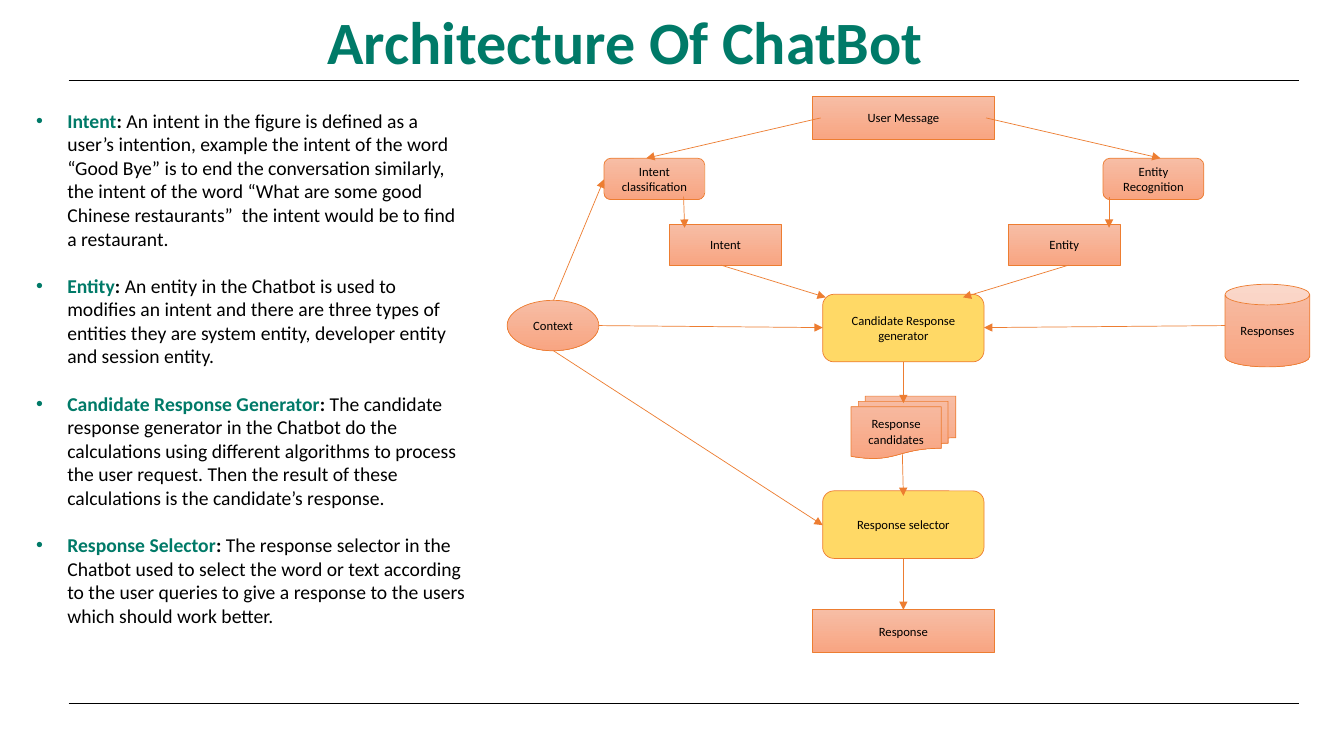
from dataclasses import dataclass

from lxml.etree import SubElement
from pptx import Presentation
from pptx.dml.color import RGBColor
from pptx.enum.shapes import MSO_CONNECTOR, MSO_SHAPE
from pptx.enum.text import MSO_ANCHOR, PP_ALIGN
from pptx.oxml.ns import qn
from pptx.util import Inches, Pt


@dataclass(frozen=True)
class Theme:
    """Colours, font and sizes used on the slide."""
    font: str = "Calibri"
    green: str = "007A68"
    black: str = "000000"
    orange: str = "ED7D31"
    yellow: str = "FFD966"
    peach: tuple = ("F7BDA5", "F8A582")
    title_size: float = 42.9
    body_size: float = 14
    label_size: float = 9
    paragraph_gap: float = 17
    line_width: float = 0.5


THEME = Theme()

DEFINITIONS = [
    ("Intent", "An\u00a0intent\u00a0in the figure is defined as a user’s intention, example the "
     "intent of the word “Good Bye” is to end the conversation similarly, the intent of the "
     "word “What are some good Chinese restaurants”\u00a0 the intent would be to find a restaurant."),
    ("Entity", "An\u00a0entity in the Chatbot is used to modifies an intent and there are three "
     "types of entities they are system entity, developer entity and session entity."),
    ("Candidate Response Generator", "The candidate response generator in the Chatbot do the "
     "calculations using different algorithms to process the user request. Then the result of "
     "these calculations is the candidate’s response."),
    ("Response Selector", "The response selector in the Chatbot used to select the word or text "
     "according to the user queries to give a response to the users which should work better."),
]

PEACH_NODES = [
    ("User Message", MSO_SHAPE.RECTANGLE, (8.06, 0.96, 1.8, 0.42)),
    ("Intent classification", MSO_SHAPE.ROUNDED_RECTANGLE, (5.99, 1.57, 1, 0.41)),
    ("Entity Recognition", MSO_SHAPE.ROUNDED_RECTANGLE, (10.94, 1.57, 1, 0.41)),
    ("Intent", MSO_SHAPE.RECTANGLE, (6.64, 2.23, 1.11, 0.4)),
    ("Entity", MSO_SHAPE.RECTANGLE, (10, 2.23, 1.11, 0.4)),
    ("Context", MSO_SHAPE.OVAL, (5.03, 2.98, 0.91, 0.5)),
    ("Responses", MSO_SHAPE.CAN, (12.15, 2.82, 0.84, 0.82)),
    ("Response candidates", MSO_SHAPE.FLOWCHART_MULTIDOCUMENT, (8.44, 3.93, 1.04, 0.62)),
    ("Response", MSO_SHAPE.RECTANGLE, (8.06, 6.05, 1.8, 0.42)),
]

YELLOW_NODES = [
    ("Candidate Response generator", MSO_SHAPE.ROUNDED_RECTANGLE, (8.16, 2.92, 1.6, 0.67)),
    ("Response selector", MSO_SHAPE.ROUNDED_RECTANGLE, (8.16, 4.87, 1.6, 0.67)),
]

ARROWS = [
    ((8.14, 1.17), (6.41, 1.57)),
    ((9.78, 1.17), (11.51, 1.57)),
    ((6.78, 1.95), (6.79, 2.26)),
    ((11, 1.95), (11, 2.26)),
    ((7.15, 2.63), (8.19, 2.95)),
    ((10.6, 2.63), (9.55, 2.95)),
    ((5.49, 2.98), (5.99, 1.78)),
    ((5.94, 3.23), (8.16, 3.25)),
    ((5.49, 3.48), (8.16, 5.21)),
    ((12.15, 3.23), (9.76, 3.25)),
    ((8.96, 3.59), (8.96, 4)),
    ((8.95, 4.5), (8.96, 4.92)),
    ((8.96, 5.54), (8.96, 6.05)),
]


def color(value):
    """Turn a hex string into a colour."""
    return RGBColor.from_string(value)


def add_text(paragraph, text, *, size, fill=THEME.black, bold=False):
    """Append a formatted run to a paragraph."""
    run = paragraph.add_run()
    run.text = text
    run.font.name = THEME.font
    run.font.size = Pt(size)
    run.font.bold = bold
    run.font.color.rgb = color(fill)


def add_text_frame(slide, box, anchor):
    """Add a wrapping text box and return its text frame."""
    frame = slide.shapes.add_textbox(*map(Inches, box)).text_frame
    frame.word_wrap = True
    frame.vertical_anchor = anchor
    return frame


def add_title(slide, text):
    """Add the centred slide title."""
    paragraph = add_text_frame(slide, (0.73, 0.12, 10.94, 0.68), MSO_ANCHOR.BOTTOM).paragraphs[0]
    paragraph.alignment = PP_ALIGN.CENTER
    paragraph.line_spacing = 0.8
    add_text(paragraph, text, size=THEME.title_size, fill=THEME.green, bold=True)


def set_bullet(paragraph):
    """Give a paragraph a hanging green bullet."""
    properties = paragraph._p.get_or_add_pPr()
    properties.set("marL", str(Inches(0.31)))
    properties.set("indent", str(-Inches(0.31)))
    bullet_color = SubElement(properties, qn("a:buClr"))
    SubElement(bullet_color, qn("a:srgbClr"), val=THEME.green)
    SubElement(properties, qn("a:buFont"), typeface="Arial")
    SubElement(properties, qn("a:buChar"), char="•")


def add_definitions(slide, definitions):
    """Add the bulleted list of terms and their meanings."""
    frame = add_text_frame(slide, (0.26, 1.03, 4.46, 5.55), MSO_ANCHOR.TOP)
    for index, (term, meaning) in enumerate(definitions):
        paragraph = frame.add_paragraph() if index else frame.paragraphs[0]
        paragraph.space_after = Pt(THEME.paragraph_gap)
        set_bullet(paragraph)
        add_text(paragraph, term, size=THEME.body_size, fill=THEME.green, bold=True)
        add_text(paragraph, ":", size=THEME.body_size, bold=True)
        add_text(paragraph, "\u00a0" + meaning, size=THEME.body_size)


def add_node(slide, label, kind, box):
    """Add a labelled, outlined diagram node and return it."""
    shape = slide.shapes.add_shape(kind, *map(Inches, box))
    shape.shadow.inherit = False
    shape.line.color.rgb = color(THEME.orange)
    shape.line.width = Pt(THEME.line_width)
    frame = shape.text_frame
    frame.word_wrap = True
    frame.vertical_anchor = MSO_ANCHOR.MIDDLE
    paragraph = frame.paragraphs[0]
    paragraph.alignment = PP_ALIGN.CENTER
    add_text(paragraph, label, size=THEME.label_size)
    return shape


def fill_gradient(shape, colors):
    """Fill a shape from top to bottom with two colours."""
    shape.fill.gradient()
    shape.fill.gradient_angle = 270
    for stop, value in zip(shape.fill.gradient_stops, colors):
        stop.color.rgb = color(value)


def fill_solid(shape, value):
    """Fill a shape with one colour."""
    shape.fill.solid()
    shape.fill.fore_color.rgb = color(value)


def add_line(slide, start, end, fill, arrow=False):
    """Add a straight line, with an arrowhead at its end if wanted."""
    connector = slide.shapes.add_connector(MSO_CONNECTOR.STRAIGHT, *map(Inches, start + end))
    connector.line.color.rgb = color(fill)
    connector.line.width = Pt(THEME.line_width)
    if arrow:
        SubElement(connector.line._get_or_add_ln(), qn("a:tailEnd"), type="triangle")
    SubElement(connector._element.spPr, qn("a:effectLst"))


def main():
    """Build the slide and save it."""
    presentation = Presentation()
    presentation.slide_width = Inches(13.33)
    presentation.slide_height = Inches(7.5)
    slide = presentation.slides.add_slide(presentation.slide_layouts[6])
    add_title(slide, "Architecture Of ChatBot")
    for node in PEACH_NODES:
        fill_gradient(add_node(slide, *node), THEME.peach)
    for node in YELLOW_NODES:
        fill_solid(add_node(slide, *node), THEME.yellow)
    for start, end in ARROWS:
        add_line(slide, start, end, THEME.orange, arrow=True)
    add_definitions(slide, DEFINITIONS)
    for top in (0.8, 6.98):
        add_line(slide, (0.68, top), (12.88, top), THEME.black)
    presentation.save("out.pptx")


if __name__ == "__main__":
    main()
